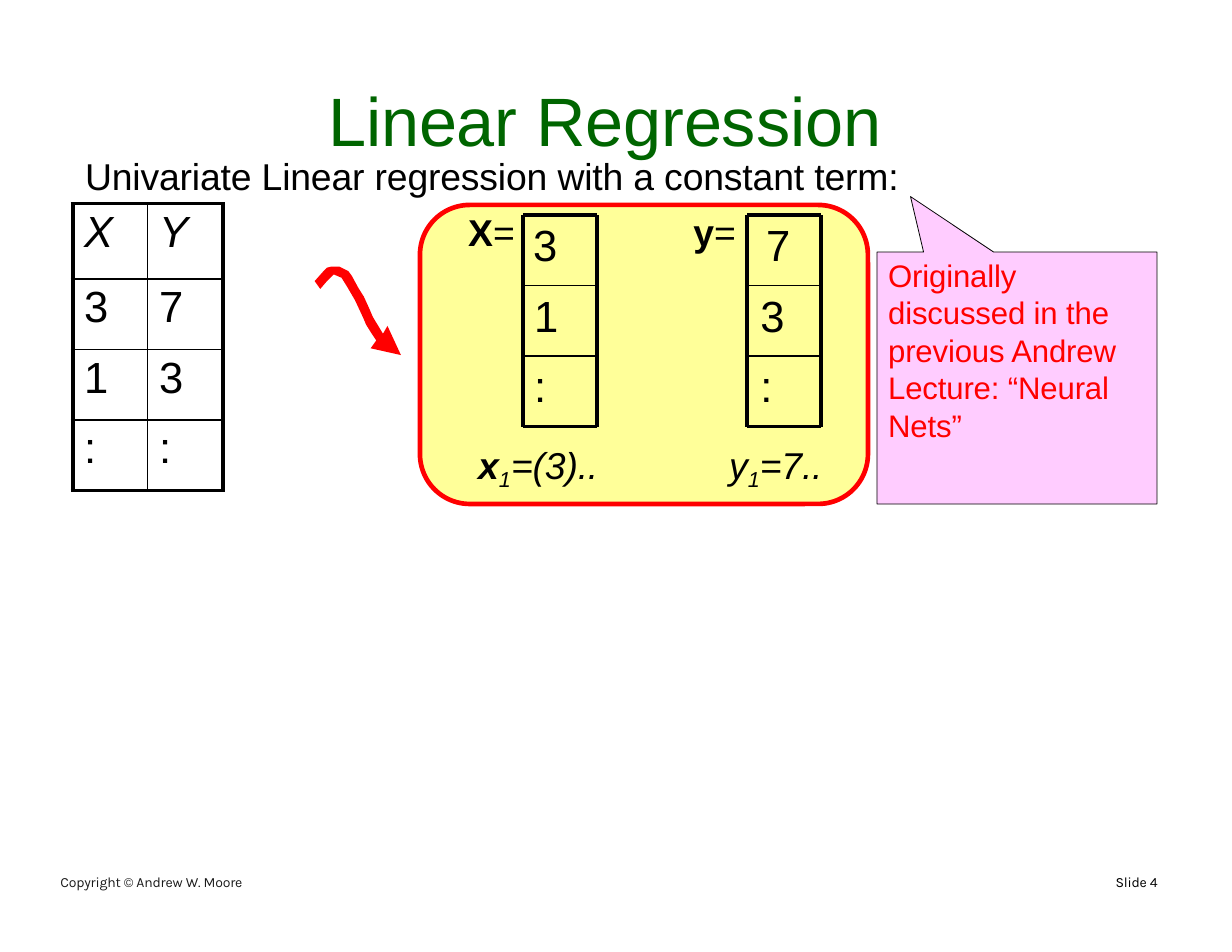
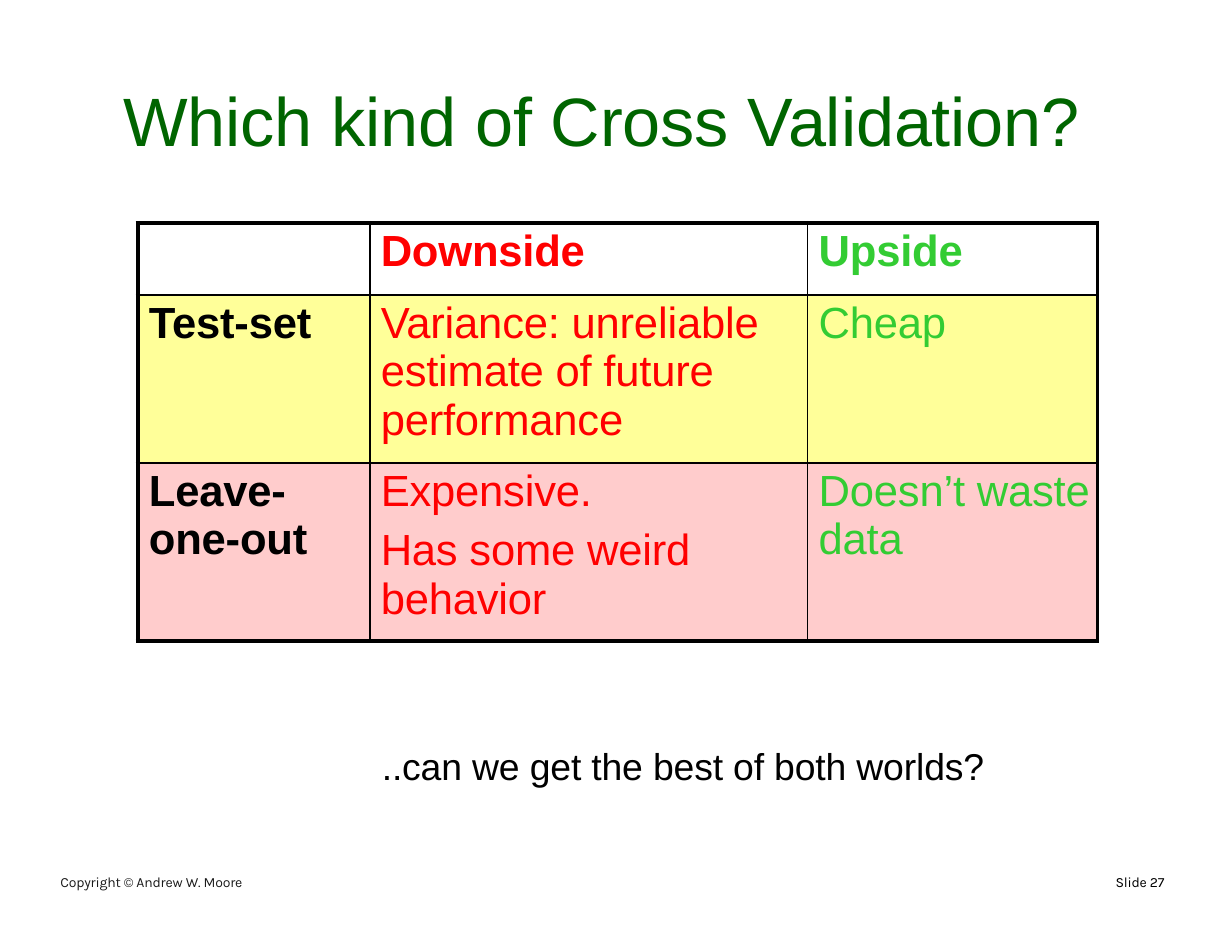
from lxml import etree
from pptx import Presentation
from pptx import util as u
from pptx.dml.color import RGBColor
from pptx.enum import shapes, text
from pptx.oxml.ns import qn

COLOURS = {
    "title": "006500", "ink": "000000", "footer": "1B1B1B",
    "red": "FF0000", "green": "33CC33",
    "yellow": "FFFF99", "rose": "FFCCCC", "pink": "FFCCFF",
}
TITLE = {"size": 44, "color": "title", "spc": -10}
BODY = {"size": 24, "spc": -10}
DATA = {"size": 28}
NOTE = {"size": 20, "color": "red", "spc": -10}
FOOTER = {"size": 9, "name": "Karla", "spc": -10}


def rgb(key):
    return RGBColor.from_string(COLOURS[key])


# ---- text ----
def style_run(run, style):
    values = {"name": "Arial", "color": "ink", "size": 18, **style}
    run.font.color.rgb = rgb(values.pop("color"))
    values["size"] = u.Pt(values["size"])
    for key in ("spc", "baseline"):
        if key in values:
            run._r.get_or_add_rPr().set(key, str(values.pop(key)))
    for key, value in values.items():
        setattr(run.font, key, value)


def fill_paragraph(paragraph, runs, style, indent=0.01, before=1, tab=None):
    """Runs are (text, style changes) pairs."""
    paragraph.alignment = text.PP_ALIGN.LEFT
    paragraph.space_before = u.Pt(before)
    props = paragraph._p.get_or_add_pPr()
    props.set("marL", str(u.Inches(indent)))
    if tab:
        stops = etree.SubElement(props, qn("a:tabLst"))
        etree.SubElement(stops, qn("a:tab"), pos=str(u.Inches(tab)), algn="l")
    for words, changes in runs:
        run = paragraph.add_run()
        run.text = words
        style_run(run, {**style, **changes})


def set_frame(frame, left=0, top=0.01, right=0):
    values = {
        "word_wrap": True, "vertical_anchor": text.MSO_ANCHOR.TOP,
        "margin_left": u.Inches(left), "margin_top": u.Inches(top),
        "margin_right": u.Inches(right), "margin_bottom": 0,
    }
    for key, value in values.items():
        setattr(frame, key, value)


def add_text(slide, box, paragraphs, style, top=0.01):
    """Paragraphs are (runs, paragraph options) pairs."""
    frame = slide.shapes.add_textbox(*map(u.Inches, box)).text_frame
    set_frame(frame, top=top)
    frame.auto_size = text.MSO_AUTO_SIZE.SHAPE_TO_FIT_TEXT
    for i, (runs, options) in enumerate(paragraphs):
        paragraph = frame.add_paragraph() if i else frame.paragraphs[0]
        fill_paragraph(paragraph, runs, style, **options)


def add_line_of_text(slide, box, words, style):
    add_text(slide, box, [([(words, {})], {})], style)


# ---- shapes ----
def paint(shape, fill, line=None, width=0):
    shape.shadow.inherit = False
    shape.fill.solid()
    shape.fill.fore_color.rgb = rgb(fill)
    if line:
        shape.line.color.rgb = rgb(line)
        shape.line.width = u.Pt(width)
    else:
        shape.line.fill.background()


def add_rule(slide, x1, y1, x2, y2, width):
    rule = slide.shapes.add_connector(
        shapes.MSO_CONNECTOR.STRAIGHT, *map(u.Inches, (x1, y1, x2, y2)))
    rule.line.color.rgb = rgb("ink")
    rule.line.width = u.Pt(width)
    etree.SubElement(rule._element.spPr, qn("a:effectLst"))


def add_vector_grid(slide, left, top, width, height):
    """Column of three cells with a heavy frame."""
    for i, weight in enumerate((2.25, 1, 1, 2.25)):
        y = top + height * i / 3
        add_rule(slide, left, y, left + width, y, weight)
    for x in (left, left + width):
        add_rule(slide, x, top, x, top + height, 2.25)


def add_curved_arrow(slide, left, top):
    outline = [
        (0, .13), (.08, .04), (.11, .01), (.15, 0), (.22, 0), (.3, .04),
        (.33, .08), (.39, .19), (.44, .27), (.49, .38), (.52, .45),
        (.61, .6), (.65, .53), (.77, .79), (.5, .73), (.55, .66),
        (.51, .6), (.46, .52), (.43, .45), (.36, .3), (.29, .18),
        (.24, .1), (.17, .07), (.11, .13), (.05, .2),
    ]
    points = [(u.Inches(left + x), u.Inches(top + y)) for x, y in outline]
    builder = slide.shapes.build_freeform(*points[0])
    builder.add_line_segments(points[1:], close=True)
    paint(builder.convert_to_shape(), "red")


def add_callout(slide, box, words):
    callout = slide.shapes.add_shape(
        shapes.MSO_SHAPE.RECTANGULAR_CALLOUT, *map(u.Inches, box))
    callout.adjustments[0], callout.adjustments[1] = -0.38, -0.72
    paint(callout, "pink", "ink", 0.5)
    set_frame(callout.text_frame, left=0.09, top=0.04, right=0.31)
    fill_paragraph(callout.text_frame.paragraphs[0], [(words, {})], NOTE)


# ---- tables ----
def set_border(cell, side, width):
    line = etree.SubElement(cell._tc.get_or_add_tcPr(), qn("a:" + side),
                            w=str(u.Pt(width)))
    fill = etree.SubElement(line, qn("a:solidFill"))
    etree.SubElement(fill, qn("a:srgbClr"), val=COLOURS["ink"])


def add_grid_table(slide, left, top, cols, rows, rules, cells, fills):
    """Rules are the widths of the vertical, then the horizontal lines.
    Each cell is (paragraph texts, style)."""
    box = map(u.Inches, (left, top, sum(cols), sum(rows)))
    table = slide.shapes.add_table(len(rows), len(cols), *box).table
    table.first_row = table.horz_banding = False
    for column, width in zip(table.columns, cols):
        column.width = u.Inches(width)
    verticals, horizontals = rules
    for r, height in enumerate(rows):
        table.rows[r].height = u.Inches(height)
        for c in range(len(cols)):
            cell = table.cell(r, c)
            for side, width in (("lnL", verticals[c]), ("lnR", verticals[c + 1]),
                                ("lnT", horizontals[r]), ("lnB", horizontals[r + 1])):
                set_border(cell, side, width)
            if fills[r]:
                cell.fill.solid()
                cell.fill.fore_color.rgb = rgb(fills[r])
            else:
                cell.fill.background()
            cell.margin_left = cell.margin_right = cell.margin_bottom = 0
            cell.margin_top = u.Inches(0.04)
            lines, style = cells[r][c]
            for i, words in enumerate(lines):
                frame = cell.text_frame
                paragraph = frame.add_paragraph() if i else frame.paragraphs[0]
                fill_paragraph(paragraph, [(words, {})], {**DATA, **style},
                               indent=0.1, before=6.8 if i else 2.9)


# ---- shared slide parts ----
def start_slide(deck, title, title_box, number):
    slide = deck.slides.add_slide(deck.slide_layouts[6])
    add_line_of_text(slide, title_box, title, TITLE)
    add_line_of_text(slide, (0.53, 7.79, 1.74, 0.18),
                     "Copyright © Andrew W. Moore", {**FOOTER, "color": "footer"})
    add_line_of_text(slide, (9.95, 7.79, 0.48, 0.18), f"Slide {number}", FOOTER)
    return slide


# ---- regions ----
def add_matrix_panel(slide, left, top, width, height):
    panel = slide.shapes.add_shape(shapes.MSO_SHAPE.ROUNDED_RECTANGLE,
                                   *map(u.Inches, (left, top, width, height)))
    paint(panel, "yellow", "red", 3)
    for offset in (0.92, 2.92):
        add_vector_grid(slide, left + offset, top + 0.09, 0.66, 1.89)

    # First entries and vector names
    bold, lowered = {"bold": True}, {"baseline": -21000}
    add_text(slide, (left + 0.93, top + 0.11, 2.64, 0.5),
             [([("3\t7", {})], {"indent": 0.08, "tab": 2.08})], DATA)
    add_text(slide, (left + 0.42, top + 0.03, 2.41, 0.43),
             [([("X", bold), ("=\t", {}), ("y", bold), ("=", {})],
               {"tab": 2.01})], {"size": 24})

    # Remaining entries and the first record
    record = [("x", bold), ("1", lowered), ("=(3)..\ty", {}),
              ("1", lowered), ("=7..", {})]
    record = [(words, {**BODY, "italic": True, **change})
              for words, change in record]
    add_text(slide, (left + 0.45, top + 0.58, 3.16, 1.96), [
        ([("1\t3", {})], {"indent": 0.57, "before": 12.6, "tab": 2.57}),
        ([(":\t:", {})], {"indent": 0.57, "before": 11.7, "tab": 2.57}),
        (record, {"indent": 0.07, "before": 19.8, "tab": 2.24}),
    ], DATA, top=0.17)


def build_regression(deck):
    slide = start_slide(deck, "Linear Regression", (2.92, 0.69, 4.99, 0.76), 4)
    add_line_of_text(slide, (0.75, 1.36, 7.37, 0.43),
                     "Univariate Linear regression with a constant term:", BODY)
    samples = [[([value], {"italic": value.isalpha()}) for value in row]
               for row in ("XY", "37", "13", "::")]
    add_grid_table(slide, 0.65, 1.82, [0.67] * 2, [0.67] + [0.63] * 3,
                   ((3, 1, 3), (2.25, 1, 1, 1, 2.25)), samples, [None] * 4)
    add_curved_arrow(slide, 2.81, 2.38)
    add_matrix_panel(slide, 3.75, 1.83, 4, 2.67)
    add_callout(slide, (7.83, 2.25, 2.5, 2.25),
                "Originally discussed in the previous Andrew Lecture: "
                "“Neural Nets”")


def build_validation(deck):
    slide = start_slide(deck, "Which kind of Cross Validation?",
                        (1.09, 0.69, 8.66, 0.76), 27)
    contents = [
        ([], ["Downside"], ["Upside"]),
        (["Test-set"], ["Variance: unreliable estimate of future performance"],
         ["Cheap"]),
        (["Leave- one-out"], ["Expensive.", "Has some weird behavior"],
         ["Doesn’t waste data"]),
    ]
    # Headings are bold; each column has its colour
    cells = [[(lines, {"color": colour, "bold": r == 0 or c == 0, "spc": -10})
              for c, (lines, colour) in enumerate(zip(row, ("ink", "red", "green")))]
             for r, row in enumerate(contents)]
    add_grid_table(slide, 1.23, 1.99, [2.07, 3.91, 2.59], [0.64, 1.5, 1.59],
                   ((3, 1.5, 1, 2.25), (3, 1.5, 1.5, 3)), cells,
                   [None, "yellow", "rose"])
    add_line_of_text(slide, (3.4, 6.63, 5.46, 0.43),
                     "..can we get the best of both worlds?", BODY)


deck = Presentation()
deck.slide_width, deck.slide_height = u.Inches(11), u.Inches(8.5)
build_regression(deck)
build_validation(deck)
deck.save("out.pptx")
